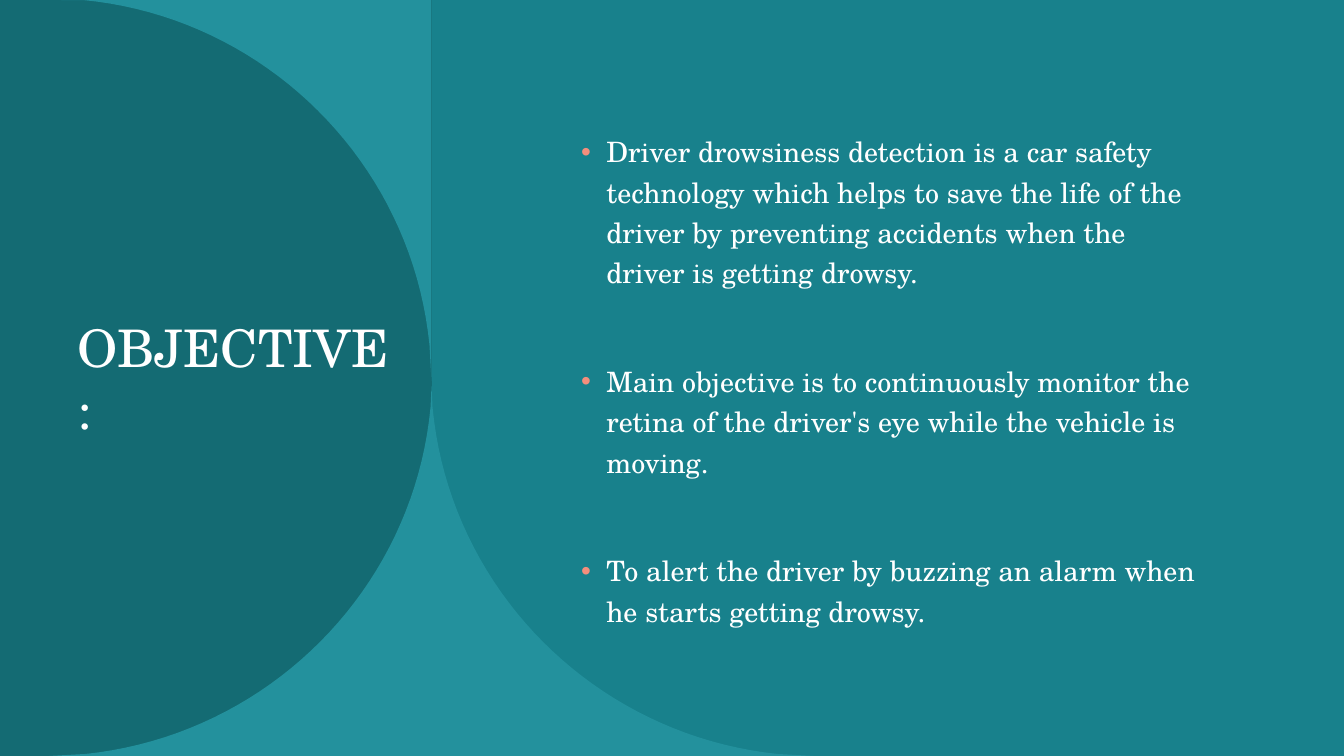
import pptx
import pptx.chart.data
import pptx.dml.color
import pptx.enum.text
import pptx.oxml
import pptx.oxml.ns
import pptx.util

WIDTH, HEIGHT = 13.33, 7.5
COLOURS = {"ground": "18818C", "panel": "146B73", "light": "23919D",
           "text": "FFFFFF", "bullet": "F48E7C"}
POINTS = [
    "Driver drowsiness detection is a car safety technology which helps to save "
    "the life of the driver by preventing accidents when the driver is getting drowsy.",
    "Main objective is to continuously monitor the retina of the driver's eye "
    "while the vehicle is moving.",
    "To alert the driver by buzzing an alarm when he starts getting drowsy.",
]


def curve(start, pull, push, end, steps=40):
    """Return points along a cubic curve."""
    points = []
    for step in range(steps + 1):
        t = step / steps
        weights = ((1 - t) ** 3, 3 * t * (1 - t) ** 2, 3 * t * t * (1 - t), t ** 3)
        points.append(tuple(sum(weight * knot[axis] for weight, knot in
                                zip(weights, (start, pull, push, end)))
                            for axis in (0, 1)))
    return points


class ObjectivePage:
    """Holds the style and the current slide; lengths are shares of the slide."""

    font = "TeX Gyre Schola"

    def __init__(self, deck):
        self.page = deck.slides.add_slide(deck.slide_layouts[6])
        self.width, self.height = deck.slide_width, deck.slide_height
        background = self.page.background.fill
        background.solid()
        background.fore_color.rgb = self.colour("ground")

    def colour(self, name):
        """Look up a named colour."""
        return pptx.dml.color.RGBColor.from_string(COLOURS[name])

    def outline(self, points, fill):
        """Draw a filled closed outline."""
        places = [(round(x * self.width), round(y * self.height)) for x, y in points]
        builder = self.page.shapes.build_freeform(*places[0])
        builder.add_line_segments(places[1:], close=True)
        shape = builder.convert_to_shape()
        shape.shadow.inherit = False
        shape.fill.solid()
        shape.fill.fore_color.rgb = self.colour(fill)
        shape.line.fill.background()

    def text(self, left, top, width, height, paragraphs, size, bullets=False):
        """Write paragraphs centred vertically in a box."""
        box = self.page.shapes.add_textbox(
            round(left * self.width), round(top * self.height),
            round(width * self.width), round(height * self.height))
        frame = box.text_frame
        frame.word_wrap = True
        frame.vertical_anchor = pptx.enum.text.MSO_ANCHOR.MIDDLE
        frame.text = "\n".join(paragraphs)
        for index, para in enumerate(frame.paragraphs):
            if bullets:
                self.bullet(para)
                para.line_spacing = 1.2
                if index:
                    para.space_before = pptx.util.Pt(48.8)
            for span in para.runs:
                span.font.name = self.font
                span.font.size = pptx.util.Pt(size)
                span.font.color.rgb = self.colour("text")

    def bullet(self, para):
        """Give a paragraph a coloured bullet and a hanging indent."""
        indent = pptx.util.Inches(0.25)
        properties = para._p.get_or_add_pPr()
        properties.set("marL", str(indent))
        properties.set("indent", str(-indent))
        names = pptx.oxml.ns.nsdecls("a")
        for markup in (
            f'<a:buClr {names}><a:srgbClr val="{COLOURS["bullet"]}"/></a:buClr>',
            f'<a:buFont {names} typeface="Arial"/>',
            f'<a:buChar {names} char="•"/>',
        ):
            properties.append(pptx.oxml.parse_xml(markup))


def shares(points):
    """Turn inches into shares of the slide."""
    return [(x / WIDTH, y / HEIGHT) for x, y in points]


def main():
    """Build and save the slide."""
    deck = pptx.Presentation()
    deck.slide_width = pptx.util.Inches(WIDTH)
    deck.slide_height = pptx.util.Inches(HEIGHT)
    page = ObjectivePage(deck)

    edge = 4.28
    upper = curve((4.26, 3.42), (4.08, 1.61), (2.63, 0.17), (0.82, 0))
    lower = curve((0.85, 7.48), (2.66, 7.29), (4.1, 5.85), (4.27, 4.04))
    mirrored = [(2 * edge - x, y) for x, y in reversed(lower)]

    page.outline([(0, 0), (edge / WIDTH, 0), (edge / WIDTH, 1), (0, 1)], "panel")
    page.outline(shares([(0.61, 0), (edge, 0), (edge, 3.78)] + upper), "light")
    page.outline(shares([(0.49, HEIGHT)] + lower + [(edge, 3.83)] + mirrored
                        + [(2 * edge - 0.49, HEIGHT)]), "light")

    page.text(0.05, 0.1, 0.25, 0.8, ["OBJECTIVE:"], 37)
    page.text(0.425, 0.1, 0.475, 0.8, POINTS, 20, bullets=True)
    deck.save("out.pptx")


if __name__ == "__main__":
    main()
